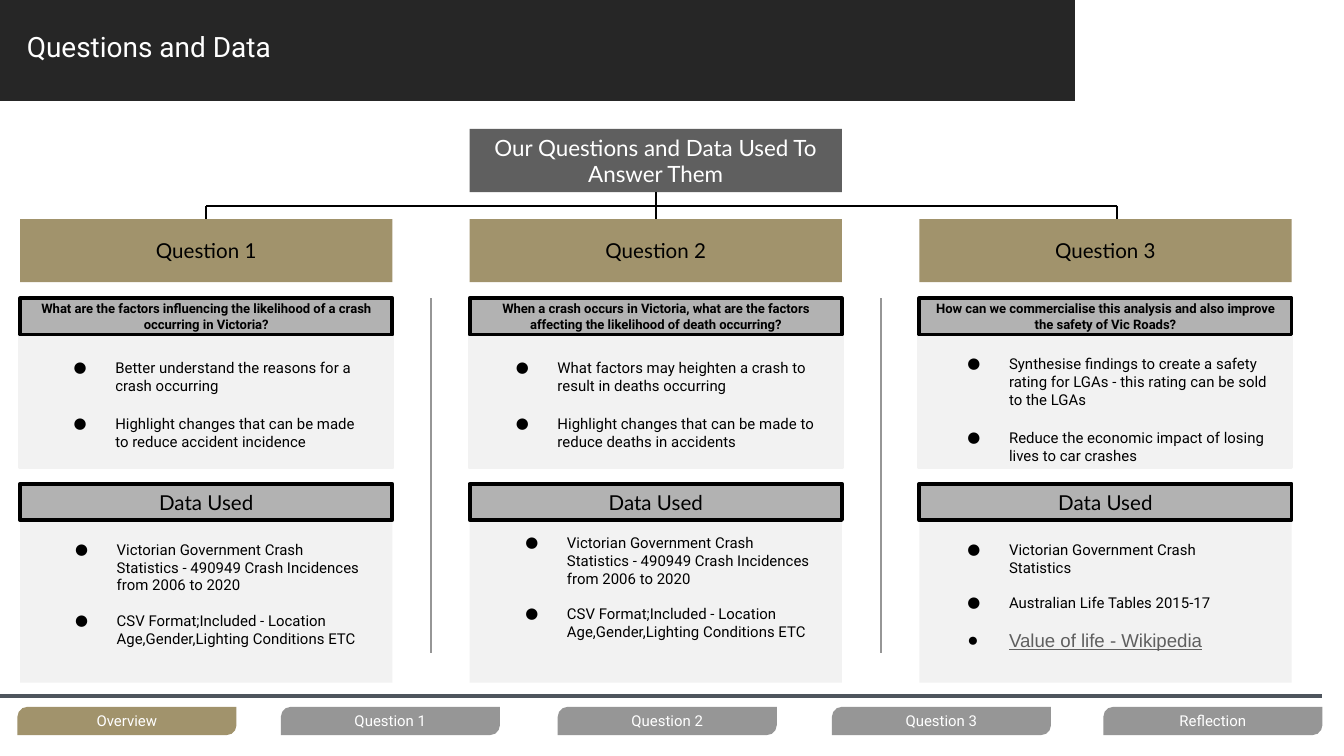
from dataclasses import dataclass

import pptx
import pptx.util
import pptx.dml.color
import pptx.enum.shapes
import pptx.enum.text
import pptx.oxml.ns
from lxml import etree

Inches = pptx.util.Inches
Pt = pptx.util.Pt
Shape = pptx.enum.shapes.MSO_SHAPE
Align = pptx.enum.text.PP_ALIGN
Anchor = pptx.enum.text.MSO_ANCHOR


@dataclass(frozen=True)
class Theme:
    banner: str = "262626"
    gold: str = "A1936C"
    grey: str = "969696"
    dark_grey: str = "5F5F5F"
    label: str = "B2B2B2"
    panel: str = "F2F2F2"
    rule: str = "4E555D"
    white: str = "FFFFFF"
    black: str = "000000"
    body_font: str = "Roboto"
    heading_font: str = "Lato"
    link_font: str = "Arial"
    title: float = 15
    root: float = 12
    heading: float = 11
    body: float = 8
    question: float = 7
    link: float = 10


THEME = Theme()


def rgb(value):
    return pptx.dml.color.RGBColor.from_string(value)


def add_bullet(paragraph, color, font):
    properties = paragraph._p.get_or_add_pPr()
    properties.set("marL", str(Inches(0.5)))
    properties.set("indent", str(Inches(-0.31)))
    bullet_color = etree.SubElement(properties, pptx.oxml.ns.qn("a:buClr"))
    etree.SubElement(bullet_color, pptx.oxml.ns.qn("a:srgbClr")).set("val", color)
    etree.SubElement(properties, pptx.oxml.ns.qn("a:buFont")).set("typeface", font)
    etree.SubElement(properties, pptx.oxml.ns.qn("a:buChar")).set("char", "●")


def write(paragraph, text, *, size=THEME.body, font=THEME.body_font, color=THEME.black,
          bold=False, underline=False, align=Align.LEFT, before=0, line_spacing=None,
          bullet=None):
    if bullet:
        add_bullet(paragraph, bullet, font)
    paragraph.alignment = align
    if before:
        paragraph.space_before = Pt(before)
    if line_spacing:
        paragraph.line_spacing = line_spacing
    run = paragraph.add_run()
    run.text = text
    run.font.size = Pt(size)
    run.font.name = font
    run.font.color.rgb = rgb(color)
    run.font.bold = bold
    run.font.underline = underline


class SlideBuilder:
    def __init__(self, slide, theme):
        self.slide = slide
        self.theme = theme

    def frame(self, shape, inset_x, inset_y, anchor):
        frame = shape.text_frame
        frame.word_wrap = True
        frame.vertical_anchor = anchor
        frame.margin_left = frame.margin_right = Inches(inset_x)
        frame.margin_top = frame.margin_bottom = Inches(inset_y)
        return frame

    def box(self, left, top, width, height, fill, text=None, *, border=None,
            kind=Shape.RECTANGLE, corner=None, insets=(0.07, 0.04), **style):
        shape = self.slide.shapes.add_shape(
            kind, Inches(left), Inches(top), Inches(width), Inches(height))
        shape.shadow.inherit = False
        shape.fill.solid()
        shape.fill.fore_color.rgb = rgb(fill)
        if border:
            shape.line.color.rgb = rgb(border)
            shape.line.width = Pt(2)
        else:
            shape.line.fill.background()
        if corner is not None:
            shape.adjustments[0] = corner
        if text:
            frame = self.frame(shape, *insets, Anchor.MIDDLE)
            write(frame.paragraphs[0], text, align=Align.CENTER, **style)
        return shape

    def line(self, x1, y1, x2, y2, color, width=1, start=None, end=None):
        """Draw a line; start joins a shape's bottom, end joins a shape's top."""
        line = self.slide.shapes.add_connector(
            pptx.enum.shapes.MSO_CONNECTOR.STRAIGHT,
            Inches(x1), Inches(y1), Inches(x2), Inches(y2))
        line.line.color.rgb = rgb(color)
        line.line.width = Pt(width)
        etree.SubElement(line._element.spPr, pptx.oxml.ns.qn("a:effectLst"))
        if start is not None:
            line.begin_connect(start, 2)
        if end is not None:
            line.end_connect(end, 0)

    def text_box(self, left, top, width, height, insets, anchor):
        area = self.slide.shapes.add_textbox(
            Inches(left), Inches(top), Inches(width), Inches(height))
        return self.frame(area, *insets, anchor)

    def title(self, text):
        frame = self.text_box(0.13, 0.06, 7.56, 0.6, (0.07, 0.04), Anchor.MIDDLE)
        write(frame.paragraphs[0], text, size=self.theme.title,
              color=self.theme.white, line_spacing=0.9)

    def bullets(self, left, top, width, height, items, gap):
        frame = self.text_box(left, top, width, height, (0.1, 0.1), Anchor.TOP)
        for index, item in enumerate(items):
            text, style = item if isinstance(item, tuple) else (item, {})
            paragraph = frame.add_paragraph() if index else frame.paragraphs[0]
            write(paragraph, text, before=gap if index else 0,
                  bullet=self.theme.black, **style)


LINK = dict(size=THEME.link, font=THEME.link_font, color=THEME.dark_grey, underline=True)
CRASH_DATA = ["Victorian Government Crash Statistics - 490949 Crash Incidences from 2006 to 2020",
              "CSV Format;Included - Location Age,Gender,Lighting Conditions ETC"]

# Bullet areas are (left, top, width, height)
COLUMNS = [
    dict(question="What are the factors influencing the likelihood of a crash occurring in Victoria?",
         aims=["Better understand the reasons for a crash occurring",
               "Highlight changes that can be made to reduce accident incidence"],
         aims_area=(0.26, 2.57, 2.54, 0.87),
         data=CRASH_DATA, data_area=(0.27, 3.92, 2.54, 0.87)),
    dict(question="When a crash occurs in Victoria, what are the factors affecting "
                  "the likelihood of death occurring?",
         aims=["What factors may heighten a crash to result in deaths occurring",
               "Highlight changes that can be made to reduce deaths in accidents"],
         aims_area=(3.55, 2.57, 2.63, 0.91),
         data=CRASH_DATA, data_area=(3.62, 3.87, 2.54, 0.87)),
    dict(question="How can we commercialise this analysis and also improve the safety of Vic Roads?",
         aims=["Synthesise findings to create a safety rating for LGAs - "
               "this rating can be sold to the LGAs",
               "Reduce the economic impact of losing lives to car crashes"],
         aims_area=(6.91, 2.54, 2.63, 0.91),
         data=["Victorian Government Crash Statistics", "Australian Life Tables 2015-17",
               ("Value of life - Wikipedia", LINK)],
         data_area=(6.91, 3.92, 2.54, 1.17)),
]
NAVIGATION = [("Overview", 0.13), ("Question 1", 2.09), ("Question 2", 4.15),
              ("Question 3", 6.19), ("Reflection", 8.21)]
FIRST_LEFT, LAST_LEFT, WIDTH = 0.15, 6.84, 2.77
PITCH = (LAST_LEFT - FIRST_LEFT) / (len(COLUMNS) - 1)
BRANCH_Y, HEADING_Y = 1.53, 1.63
BRANCH_LEFT, BRANCH_RIGHT = FIRST_LEFT + WIDTH / 2, 8.31


def main():
    deck = pptx.Presentation()
    deck.slide_width = Inches(10)
    deck.slide_height = deck.slide_width * 9 // 16
    t = THEME
    page = SlideBuilder(deck.slides.add_slide(deck.slide_layouts[6]), t)

    page.box(0, 0, 8, 0.75, t.banner, kind=Shape.PARALLELOGRAM, corner=0)
    page.title("Questions and Data")
    page.line(0, 5.18, 9.84, 5.18, t.rule, 2.25)
    for label, left in NAVIGATION:
        page.box(left, 5.26, 1.63, 0.21, t.gold if label == "Overview" else t.grey, label,
                 kind=Shape.ROUND_2_DIAG_RECTANGLE, corner=0.35,
                 insets=(0.06, 0.03), color=t.white)

    heading_style = dict(size=t.heading, font=t.heading_font)
    root = page.box(FIRST_LEFT + PITCH, 0.96, WIDTH, 0.47, t.dark_grey,
                    "Our Questions and Data Used To Answer Them",
                    size=t.root, font=t.heading_font, color=t.white)
    headings = []
    for index, column in enumerate(COLUMNS):
        left = FIRST_LEFT + PITCH * index
        headings.append(page.box(left, HEADING_Y, WIDTH, 0.47, t.gold,
                                 f"Question {index + 1}", **heading_style))
        page.box(left, 2.22, WIDTH, 1.26, t.panel, border=t.panel)
        page.box(left, 3.6, WIDTH, 1.48, t.panel)
        page.box(left, 2.22, WIDTH, 0.27, t.label, column["question"], border=t.black,
                 insets=(0.07, 0), size=t.question, bold=True)
        page.box(left, 3.6, WIDTH, 0.27, t.label, "Data Used", border=t.black, **heading_style)
        page.bullets(*column["aims_area"], column["aims"], gap=10.8)
        page.bullets(*column["data_area"], column["data"], gap=9.4)
        if index < len(COLUMNS) - 1:
            page.line(left + 3.06, 2.22, left + 3.06, 4.86, t.grey)

    page.line(BRANCH_LEFT, BRANCH_Y, BRANCH_RIGHT, BRANCH_Y, t.black)
    page.line(BRANCH_LEFT, BRANCH_Y, BRANCH_LEFT, HEADING_Y, t.black, end=headings[0])
    page.line(4.88, 1.43, 4.88, HEADING_Y, t.black, start=root, end=headings[1])
    page.line(BRANCH_RIGHT, BRANCH_Y, BRANCH_RIGHT, HEADING_Y, t.black)
    deck.save("out.pptx")


if __name__ == "__main__":
    main()
